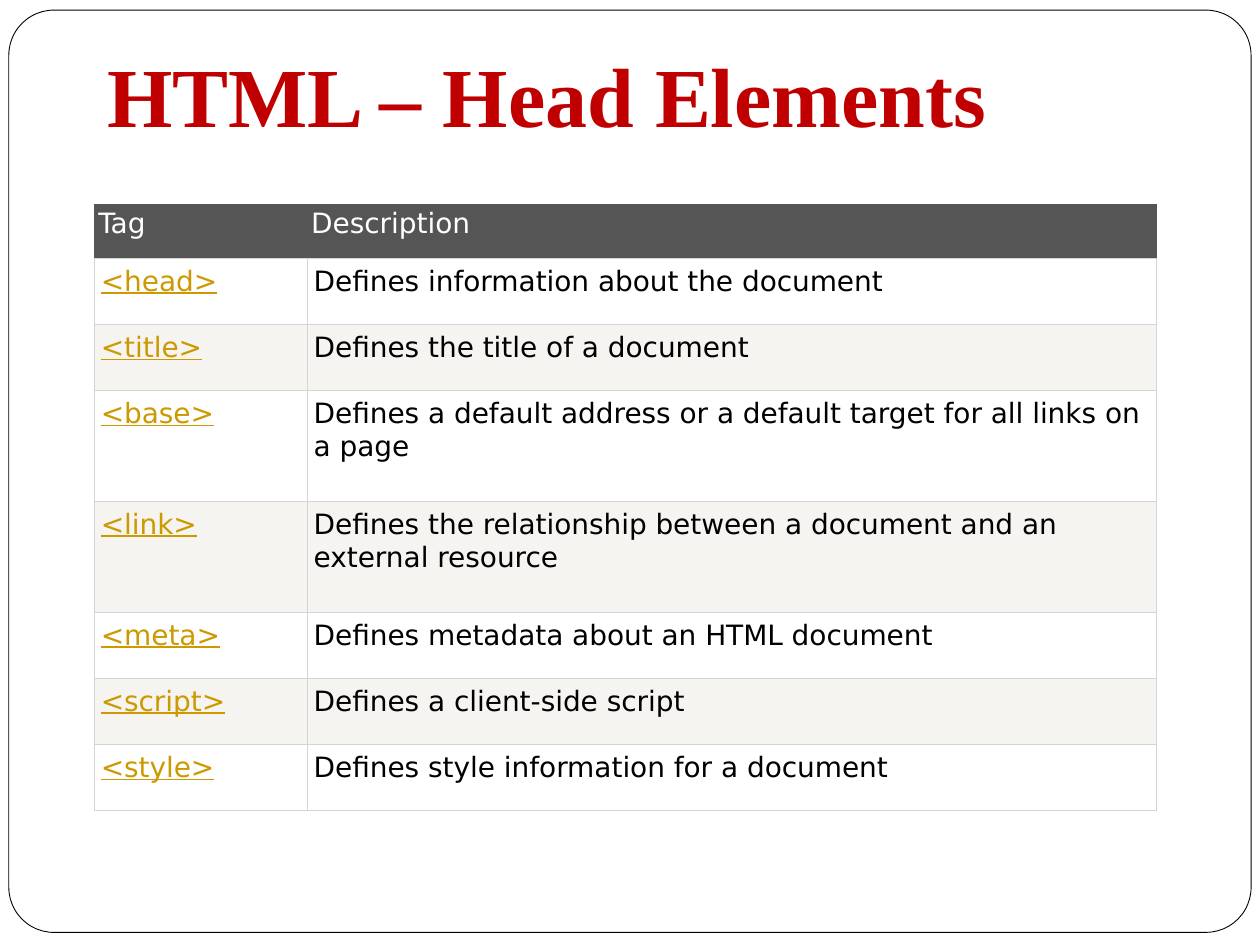
import pptx
import pptx.util
import pptx.dml.color
import pptx.enum.shapes
import pptx.enum.text
import pptx.oxml.ns
import lxml.etree

Inches, Pt = pptx.util.Inches, pptx.util.Pt
RGBColor = pptx.dml.color.RGBColor

WHITE = RGBColor(0xFF, 0xFF, 0xFF)
BLACK = RGBColor(0, 0, 0)
TITLE_RED = RGBColor(0xC0, 0, 0)
HEADER_GRAY = RGBColor(0x55, 0x55, 0x55)
BAND = RGBColor(0xF6, 0xF4, 0xF0)
BORDER = RGBColor(0xD4, 0xD4, 0xD4)
TAG_GOLD = RGBColor(0xCC, 0x99, 0)

LEFT = 0.75
COLUMN_WIDTHS = (1.69, 6.74)
HEADER_HEIGHT, ROW_HEIGHT, TALL_HEIGHT = 0.43, 0.525, 0.88
TWO_LINE_TAGS = ("<base>", "<link>")

HEADER = ("Tag", "Description")
ELEMENTS = [
    ("<head>", "Defines information about the document"),
    ("<title>", "Defines the title of a document"),
    ("<base>", "Defines a default address or a default target for all links on a page"),
    ("<link>", "Defines the relationship between a document and an external resource"),
    ("<meta>", "Defines metadata about an HTML document"),
    ("<script>", "Defines a client-side script"),
    ("<style>", "Defines style information for a document"),
]


def add_frame(slide):
    frame = slide.shapes.add_shape(
        pptx.enum.shapes.MSO_SHAPE.ROUNDED_RECTANGLE,
        Inches(0.07), Inches(0.08), Inches(9.86), Inches(7.32))
    frame.adjustments[0] = 0.049
    frame.shadow.inherit = False
    frame.fill.solid()
    frame.fill.fore_color.rgb = WHITE
    frame.line.color.rgb = BLACK
    frame.line.width = Pt(0.5)
    # Send the frame behind the title
    slide.shapes.element.insert(2, frame.element)


def format_title(title, text):
    title.left, title.top = Inches(LEFT), Inches(0.29)
    title.width, title.height = Inches(8.66), Inches(0.91)
    text_frame = title.text_frame
    text_frame.text = text
    text_frame.auto_size = pptx.enum.text.MSO_AUTO_SIZE.NONE
    text_frame.vertical_anchor = pptx.enum.text.MSO_ANCHOR.MIDDLE
    paragraph = text_frame.paragraphs[0]
    paragraph.alignment = pptx.enum.text.PP_ALIGN.LEFT
    font = paragraph.font
    font.name, font.size, font.bold = "Times New Roman", Pt(48), True
    font.color.rgb = TITLE_RED


def set_borders(cell, side_color, top_color, bottom_color):
    properties = cell._tc.get_or_add_tcPr()
    colors = {"lnL": side_color, "lnR": side_color,
              "lnT": top_color, "lnB": bottom_color}
    for index, (tag, color) in enumerate(colors.items()):
        line = lxml.etree.Element(pptx.oxml.ns.qn("a:" + tag), w=str(Pt(0.75)))
        fill = lxml.etree.SubElement(line, pptx.oxml.ns.qn("a:solidFill"))
        lxml.etree.SubElement(fill, pptx.oxml.ns.qn("a:srgbClr"), val=str(color))
        properties.insert(index, line)


def fill_cell(cell, text, fill, color, margins, underline=False):
    cell.text = text
    cell.margin_left = cell.margin_right = Inches(margins[0])
    cell.margin_top = cell.margin_bottom = Inches(margins[1])
    cell.fill.solid()
    cell.fill.fore_color.rgb = fill
    font = cell.text_frame.paragraphs[0].font
    font.name, font.size = "DejaVu Sans", Pt(16)
    font.color.rgb = color
    font.underline = underline


def add_element_table(slide):
    heights = [HEADER_HEIGHT] + [
        TALL_HEIGHT if tag in TWO_LINE_TAGS else ROW_HEIGHT for tag, _ in ELEMENTS]
    table = slide.shapes.add_table(
        len(heights), len(COLUMN_WIDTHS), Inches(LEFT), Inches(1.62),
        Inches(sum(COLUMN_WIDTHS)), Inches(sum(heights))).table
    for column, width in zip(table.columns, COLUMN_WIDTHS):
        column.width = Inches(width)
    for row, height in zip(table.rows, heights):
        row.height = Inches(height)

    # Header row
    for cell, text in zip(table.rows[0].cells, HEADER):
        fill_cell(cell, text, HEADER_GRAY, WHITE, (0.03, 0.03))
        set_borders(cell, HEADER_GRAY, HEADER_GRAY, BORDER)

    # Banded element rows
    for index, texts in enumerate(ELEMENTS):
        fill = BAND if index % 2 else WHITE
        for column, text in enumerate(texts):
            cell = table.cell(index + 1, column)
            is_tag = column == 0
            fill_cell(cell, text, fill, TAG_GOLD if is_tag else BLACK,
                      (0.05, 0.06), underline=is_tag)
            set_borders(cell, BORDER, BORDER, BORDER)


def main():
    presentation = pptx.Presentation()
    presentation.slide_width, presentation.slide_height = Inches(10), Inches(7.5)
    slide = presentation.slides.add_slide(
        presentation.slide_layouts.get_by_name("Title Only"))
    add_frame(slide)
    format_title(slide.shapes.title, "HTML – Head Elements")
    add_element_table(slide)
    presentation.save("out.pptx")


main()
